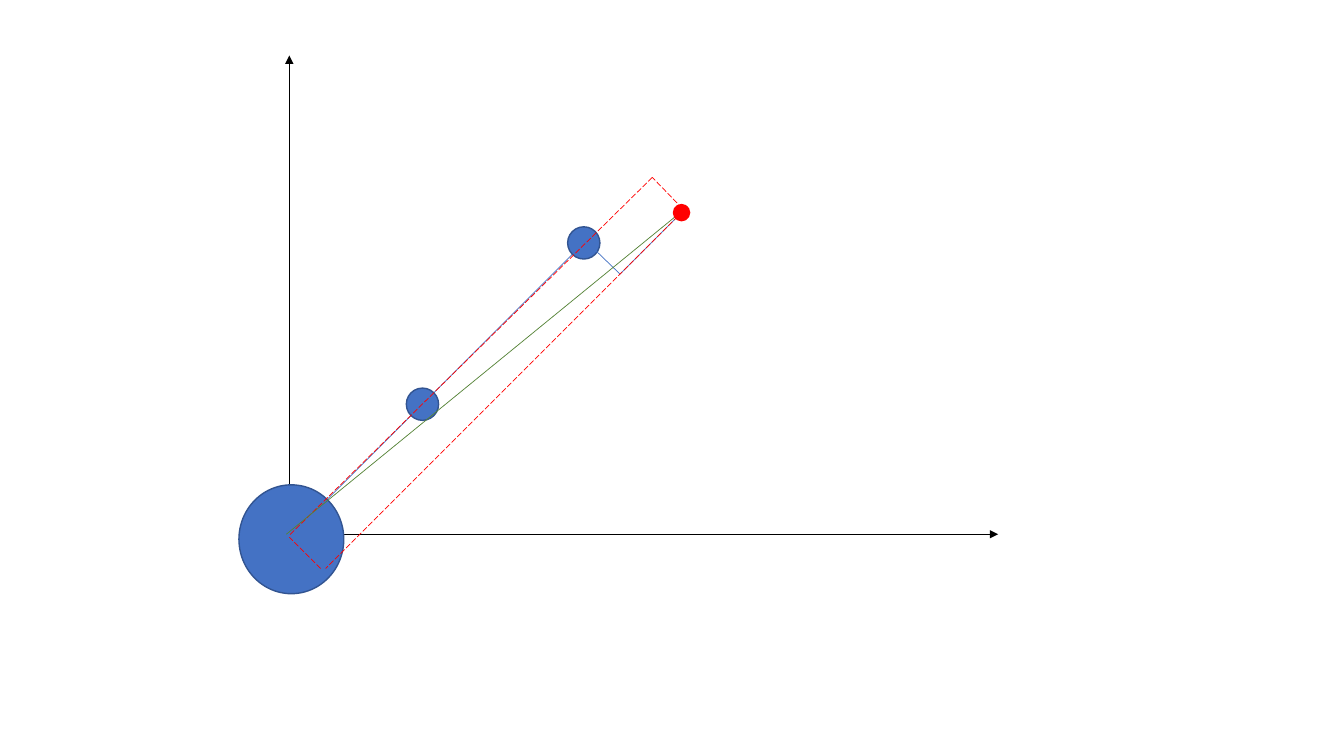
import pptx
import pptx.dml.color
import pptx.enum.dml
import pptx.enum.shapes
import pptx.oxml.ns
import pptx.util
from lxml import etree
from pptx.util import Inches

COLORS = {
    "blue": "4472C4",
    "outline": "325491",
    "axis": "000000",
    "red": "FF0000",
    "green": "548235",
}

presentation = pptx.Presentation()
presentation.slide_width = Inches(13.33)
presentation.slide_height = Inches(7.5)
slide = presentation.slides.add_slide(presentation.slide_layouts[6])


def add_line(start, end, color, dashed=False, arrow=False):
    connector = slide.shapes.add_connector(
        pptx.enum.shapes.MSO_CONNECTOR.STRAIGHT,
        *[Inches(value) for value in start + end])
    connector.line.color.rgb = pptx.dml.color.RGBColor.from_string(COLORS[color])
    connector.line.width = pptx.util.Pt(0.5)
    if dashed:
        connector.line.dash_style = pptx.enum.dml.MSO_LINE.LONG_DASH
    properties = connector._element.spPr
    if arrow:
        outline = properties.find(pptx.oxml.ns.qn("a:ln"))
        etree.SubElement(outline, pptx.oxml.ns.qn("a:tailEnd"), type="triangle")
    etree.SubElement(properties, pptx.oxml.ns.qn("a:effectLst"))


def add_body(left, top, width, height, fill, outline):
    shape = slide.shapes.add_shape(
        pptx.enum.shapes.MSO_SHAPE.OVAL,
        Inches(left), Inches(top), Inches(width), Inches(height))
    shape.shadow.inherit = False
    shape.fill.solid()
    shape.fill.fore_color.rgb = pptx.dml.color.RGBColor.from_string(COLORS[fill])
    shape.line.color.rgb = pptx.dml.color.RGBColor.from_string(COLORS[outline])
    shape.line.width = pptx.util.Pt(1)


target = (6.78, 2.09)
foot = (6.15, 2.72)

add_line((2.9, 5.3), (5.79, 2.41), "blue")
for left, top in [(4.03, 3.85), (5.63, 2.25)]:
    add_body(left, top, 0.32, 0.32, "blue", "outline")
for end in [(5.83, 2.41), target]:
    add_line(foot, end, "blue")

add_line((2.88, 5.3), (9.9, 5.3), "axis", arrow=True)
add_line((2.87, 5.3), (2.87, 0.55), "axis", arrow=True)
add_body(2.37, 4.81, 1.04, 1.08, "blue", "outline")

for start, end in [
    (target, (3.23, 5.64)),
    ((6.47, 1.76), (2.87, 5.31)),
    ((6.77, 2.07), (6.47, 1.76)),
    ((3.18, 5.64), (2.87, 5.33)),
]:
    add_line(start, end, "red", dashed=True)

add_line((2.84, 5.3), (6.82, 2.05), "green")
add_body(6.68, 2.03, 0.16, 0.16, "red", "red")

presentation.save("out.pptx")
